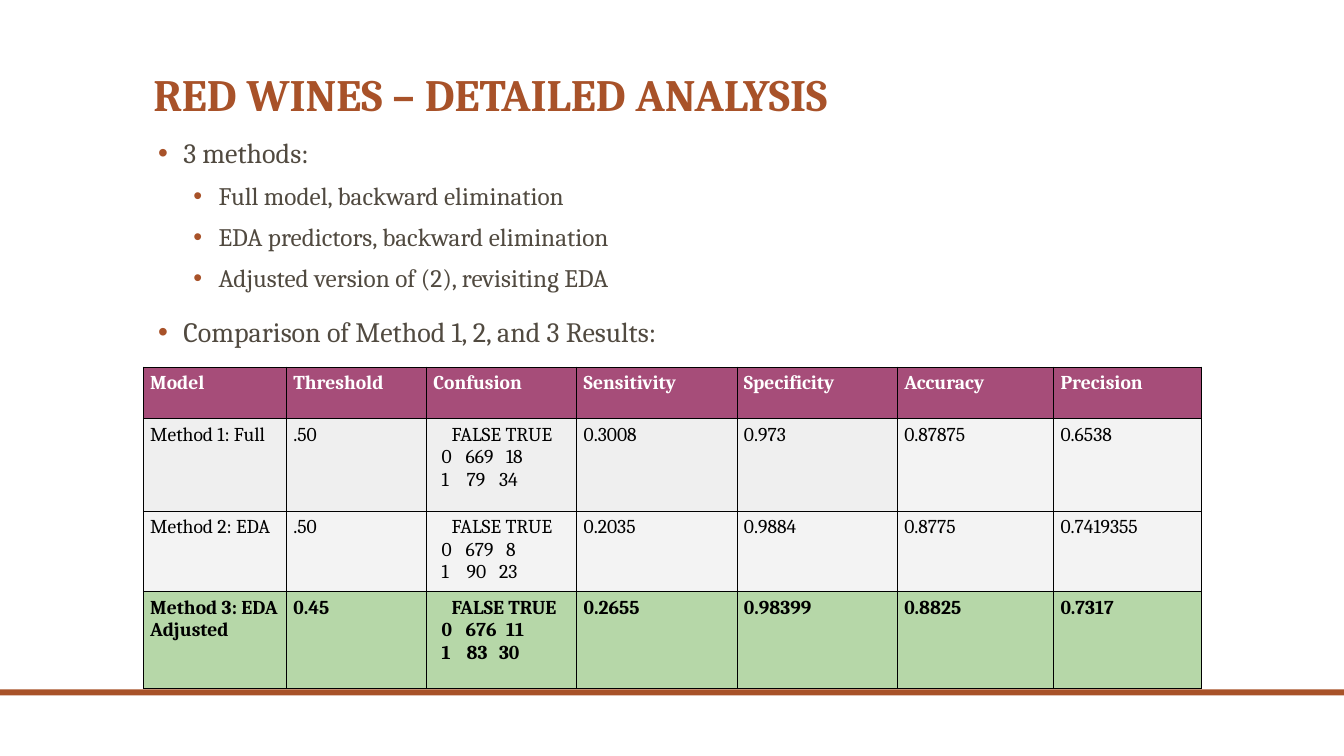
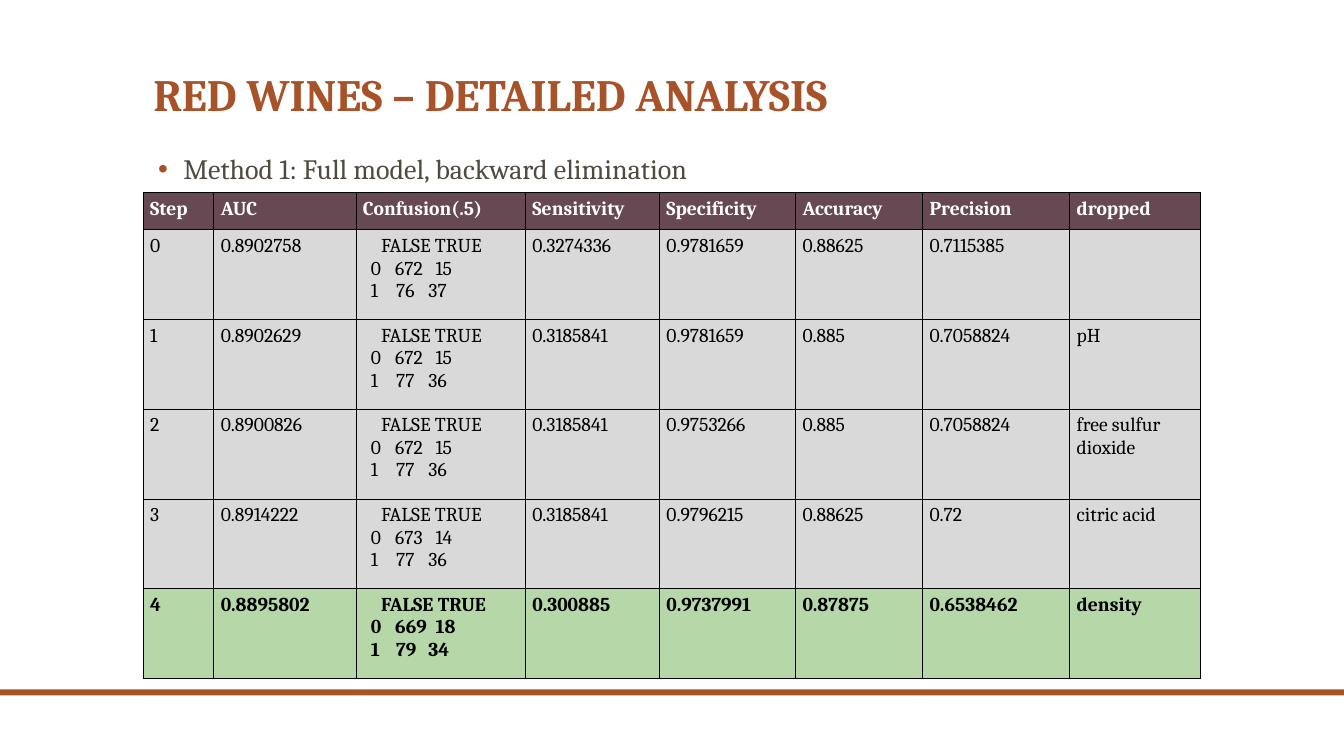
from lxml import etree
from pptx import Presentation
from pptx.dml.color import RGBColor
from pptx.enum.shapes import MSO_SHAPE
from pptx.enum.text import MSO_ANCHOR, MSO_AUTO_SIZE, PP_ALIGN
from pptx.oxml.ns import qn
from pptx.util import Inches, Pt

RECTANGLE = MSO_SHAPE.RECTANGLE
BOTTOM = MSO_ANCHOR.BOTTOM
NO_AUTOFIT = MSO_AUTO_SIZE.NONE
LEFT_ALIGN = PP_ALIGN.LEFT

FONT = "Cambria"
RUST = RGBColor(0xA8, 0x52, 0x29)
BROWN = RGBColor(0x51, 0x4A, 0x40)
PLUM = RGBColor(0xA6, 0x4D, 0x79)
MAROON = RGBColor(0x67, 0x49, 0x54)
PALE_GRAY = RGBColor(0xEF, 0xEF, 0xEF)
LIGHT_GRAY = RGBColor(0xF3, 0xF3, 0xF3)
GRAY = RGBColor(0xD9, 0xD9, 0xD9)
GREEN = RGBColor(0xB6, 0xD7, 0xA8)
BLACK = RGBColor(0, 0, 0)
WHITE = RGBColor(0xFF, 0xFF, 0xFF)

SLIDE_WIDTH, SLIDE_HEIGHT = 13.33, 7.5
LEFT, WIDTH = 1.42, 10.5

# Bullet level: left margin (inches), text size, space before (points)
BULLET_LEVELS = [(0.3, 20, 18), (0.65, 18, 10)]

# Tab stops (inches) for the lines of a confusion matrix
CONFUSION_TABS = [(0.18,), (0.08, 0.32, 0.72), (0.08, 0.33, 0.65)]

# A tuple in a table row is a confusion matrix: counts for class 0, then class 1
SLIDES = [
    {
        "title": "RED WINES – DETAILED ANALYSIS",
        "bullets_top": 1.33,
        "bullets": [
            (0, "3 methods:"),
            (1, "Full model, backward elimination"),
            (1, "EDA predictors, backward elimination"),
            (1, "Adjusted version of (2), revisiting EDA"),
            (0, "Comparison of Method 1, 2, and 3 Results:"),
        ],
        "table_top": 3.64,
        "column_widths": [1.42, 1.39, 1.49, 1.59, 1.59, 1.55, 1.47],
        "row_heights": [0.51, 0.92, 0.76, 0.96],
        "row_fills": [[PLUM] * 7, [PALE_GRAY] * 5 + [LIGHT_GRAY] * 2,
                      [LIGHT_GRAY] * 7, [GREEN] * 7],
        "rows": [
            ["Model", "Threshold", "Confusion", "Sensitivity", "Specificity",
             "Accuracy", "Precision"],
            ["Method 1: Full", ".50", ((669, 18), (79, 34)), "0.3008", "0.973",
             "0.87875", "0.6538"],
            ["Method 2: EDA", ".50", ((679, 8), (90, 23)), "0.2035", "0.9884",
             "0.8775", "0.7419355"],
            ["Method 3: EDA Adjusted", "0.45", ((676, 11), (83, 30)), "0.2655",
             "0.98399", "0.8825", "0.7317"],
        ],
    },
    {
        "title": "RED WINES – DETAILED ANALYSIS",
        "bullets_top": 1.49,
        "bullets": [(0, "Method 1: Full model, backward elimination")],
        "table_top": 1.91,
        "column_widths": [0.7, 1.41, 1.68, 1.33, 1.35, 1.26, 1.46, 1.3],
        "row_heights": [0.37] + [0.89] * 5,
        "row_fills": [[MAROON] * 8] + [[GRAY] * 8] * 4 + [[GREEN] * 8],
        "rows": [
            ["Step", "AUC", "Confusion(.5)", "Sensitivity", "Specificity",
             "Accuracy", "Precision", "dropped"],
            ["0", "0.8902758", ((672, 15), (76, 37)), "0.3274336", "0.9781659",
             "0.88625", "0.7115385", ""],
            ["1", "0.8902629", ((672, 15), (77, 36)), "0.3185841", "0.9781659",
             "0.885", "0.7058824", "pH"],
            ["2", "0.8900826", ((672, 15), (77, 36)), "0.3185841", "0.9753266",
             "0.885", "0.7058824", "free sulfur dioxide"],
            ["3", "0.8914222", ((673, 14), (77, 36)), "0.3185841", "0.9796215",
             "0.88625", "0.72", "citric acid"],
            ["4", "0.8895802", ((669, 18), (79, 34)), "0.300885", "0.9737991",
             "0.87875", "0.6538462", "density"],
        ],
    },
]


def format_runs(paragraph, size, color, bold=False):
    for run in paragraph.runs:
        run.font.name = FONT
        run.font.size = Pt(size)
        run.font.bold = bold
        run.font.color.rgb = color


def add_band(slide):
    band = slide.shapes.add_shape(
        RECTANGLE, 0, Inches(6.84), Inches(SLIDE_WIDTH), Inches(0.06))
    band.shadow.inherit = False
    band.fill.solid()
    band.fill.fore_color.rgb = RUST
    band.line.fill.background()


def set_title(slide, text):
    title = slide.shapes.title
    title.left, title.top = Inches(LEFT), Inches(0)
    title.width, title.height = Inches(WIDTH), Inches(1.25)
    frame = title.text_frame
    frame.text = text
    frame.auto_size = NO_AUTOFIT
    frame.vertical_anchor = BOTTOM
    paragraph = frame.paragraphs[0]
    paragraph.alignment = LEFT_ALIGN
    paragraph.line_spacing = 0.9
    format_runs(paragraph, 32, RUST, bold=True)


def add_bullet_mark(paragraph, margin):
    properties = paragraph._p.get_or_add_pPr()
    properties.set("marL", str(Inches(margin)))
    properties.set("indent", str(Inches(-0.25)))
    color = etree.SubElement(properties, qn("a:buClr"))
    etree.SubElement(color, qn("a:srgbClr")).set("val", str(RUST))
    etree.SubElement(properties, qn("a:buFont")).set("typeface", "Arial")
    etree.SubElement(properties, qn("a:buChar")).set("char", "•")


def add_bullets(slide, bullets, top, bottom):
    box = slide.shapes.add_textbox(
        Inches(LEFT), Inches(top), Inches(WIDTH), Inches(bottom - top))
    frame = box.text_frame
    frame.word_wrap = True
    frame.text = "\n".join(text for _, text in bullets)
    for index, (level, _) in enumerate(bullets):
        paragraph = frame.paragraphs[index]
        margin, size, space_before = BULLET_LEVELS[level]
        paragraph.level = level
        add_bullet_mark(paragraph, margin)
        paragraph.line_spacing = 0.9
        if index:
            paragraph.space_before = Pt(space_before)
        format_runs(paragraph, size, BROWN)


def add_tab_stops(paragraph, positions):
    properties = paragraph._p.get_or_add_pPr()
    tab_list = etree.SubElement(properties, qn("a:tabLst"))
    for position in positions:
        tab = etree.SubElement(tab_list, qn("a:tab"))
        tab.set("pos", str(Inches(position)))
        tab.set("algn", "l")


def set_borders(cell):
    properties = cell._tc.get_or_add_tcPr()
    for index, side in enumerate(("lnL", "lnR", "lnT", "lnB")):
        line = etree.Element(qn("a:" + side))
        line.set("w", str(Pt(0.5)))
        fill = etree.SubElement(line, qn("a:solidFill"))
        etree.SubElement(fill, qn("a:srgbClr")).set("val", str(BLACK))
        properties.insert(index, line)


def fill_cell(cell, value, fill, color, bold):
    cell.margin_left = cell.margin_right = Inches(0.07)
    cell.margin_top = cell.margin_bottom = Inches(0.05)
    cell.fill.solid()
    cell.fill.fore_color.rgb = fill
    set_borders(cell)
    frame = cell.text_frame
    if isinstance(value, tuple):
        counts = [f"\t{label}\t{negative}\t{positive}"
                  for label, (negative, positive) in enumerate(value)]
        frame.text = "\n".join(["\tFALSE TRUE"] + counts)
        for paragraph, positions in zip(frame.paragraphs, CONFUSION_TABS):
            add_tab_stops(paragraph, positions)
    else:
        frame.text = value
    for paragraph in frame.paragraphs:
        format_runs(paragraph, 14, color, bold)


def add_results_table(slide, content):
    rows, widths = content["rows"], content["column_widths"]
    heights = content["row_heights"]
    table = slide.shapes.add_table(
        len(rows), len(widths), Inches(LEFT), Inches(content["table_top"]),
        Inches(WIDTH), Inches(sum(heights))).table
    table.first_row = table.horz_banding = False
    for column, width in zip(table.columns, widths):
        column.width = Inches(width)
    for row_index, (values, fills) in enumerate(zip(rows, content["row_fills"])):
        table.rows[row_index].height = Inches(heights[row_index])
        color = BLACK if row_index else WHITE
        bold = row_index in (0, len(rows) - 1)
        for column_index, (value, fill) in enumerate(zip(values, fills)):
            fill_cell(table.cell(row_index, column_index), value, fill, color, bold)


def main():
    presentation = Presentation()
    presentation.slide_width = Inches(SLIDE_WIDTH)
    presentation.slide_height = Inches(SLIDE_HEIGHT)
    title_only = presentation.slide_layouts[5]
    for content in SLIDES:
        slide = presentation.slides.add_slide(title_only)
        add_band(slide)
        set_title(slide, content["title"])
        add_bullets(slide, content["bullets"], content["bullets_top"],
                    content["table_top"])
        add_results_table(slide, content)
    presentation.save("out.pptx")


if __name__ == "__main__":
    main()
